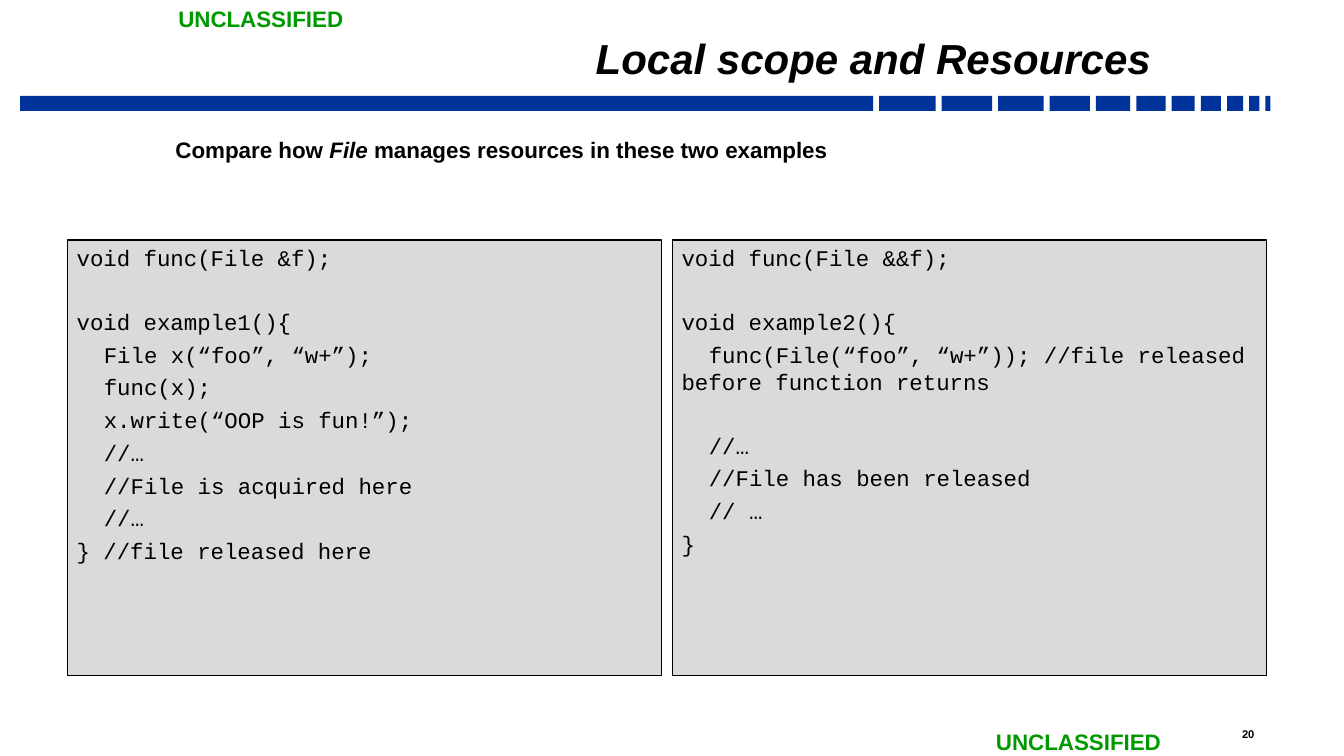
from dataclasses import dataclass

from pptx import Presentation
from pptx.dml.color import RGBColor
from pptx.enum.shapes import MSO_SHAPE
from pptx.enum.text import MSO_ANCHOR, MSO_AUTO_SIZE, PP_ALIGN
from pptx.oxml.xmlchemy import OxmlElement
from pptx.util import Inches, Pt

RECTANGLE = MSO_SHAPE.RECTANGLE
TOP, BOTTOM = MSO_ANCHOR.TOP, MSO_ANCHOR.BOTTOM
LEFT, RIGHT = PP_ALIGN.LEFT, PP_ALIGN.RIGHT
NO_AUTOFIT = MSO_AUTO_SIZE.NONE
COMPARISON_LAYOUT = 4


@dataclass(frozen=True)
class Theme:
    text_font: str = "Arial"
    code_font: str = "Courier New"
    black: RGBColor = RGBColor(0x00, 0x00, 0x00)
    bar_blue: RGBColor = RGBColor(0x00, 0x33, 0x99)
    marking_green: RGBColor = RGBColor(0x00, 0x99, 0x00)
    code_grey: RGBColor = RGBColor(0xDA, 0xDA, 0xDA)
    title_size: float = 30
    text_size: float = 16
    number_size: float = 8
    line_gap: float = 4.2
    section_gap: float = 26.6
    code_indent: float = 0.27


THEME = Theme()


@dataclass(frozen=True)
class Box:
    left: float
    top: float
    width: float
    height: float


@dataclass(frozen=True)
class Label:
    text: str
    box: Box
    size: float
    color: RGBColor
    wrap: bool


@dataclass(frozen=True)
class CodeLine:
    text: str
    level: int = 0
    new_section: bool = False


@dataclass(frozen=True)
class CodePanel:
    placeholder: int
    lines: tuple[CodeLine, ...]


# Content
LABELS = (
    Label("20", Box(12.22, 7.17, 0.72, 0.23), THEME.number_size, THEME.black, True),
    Label("UNCLASSIFIED", Box(1.67, 0, 1.86, 0.37), THEME.text_size, THEME.marking_green, False),
    Label("UNCLASSIFIED", Box(9.78, 7.17, 1.86, 0.37), THEME.text_size, THEME.marking_green, False),
)
LEAD_RUNS = (
    ("Compare how ", False),
    ("File ", True),
    ("manages resources in these two examples", False),
)
PANELS = (
    CodePanel(2, (
        CodeLine("void func(File &f);"),
        CodeLine("void example1(){", new_section=True),
        CodeLine("File x(“foo”, “w+”);", 1),
        CodeLine("func(x);", 1),
        CodeLine("x.write(“OOP is fun!”);", 1),
        CodeLine("//…", 1),
        CodeLine("//File is acquired here", 1),
        CodeLine("//…", 1),
        CodeLine("} //file released here"),
    )),
    CodePanel(4, (
        CodeLine("void func(File &&f);"),
        CodeLine("void example2(){", new_section=True),
        CodeLine("func(File(“foo”, “w+”)); //file released before function returns", 1),
        CodeLine("//…", 1, new_section=True),
        CodeLine("//File has been released", 1),
        CodeLine("// …", 1),
        CodeLine("}"),
    )),
)
UNUSED_PLACEHOLDER = 3

# Geometry
BAR_LEFT, BAR_TOP, BAR_HEIGHT, BAR_GAP = 0.2, 0.95, 0.15, 0.06
BAR_WIDTHS = (8.46, 0.56, 0.5, 0.45, 0.4, 0.34, 0.29, 0.23, 0.2, 0.16, 0.1, 0.05)
FIRST_PANEL = Box(0.67, 2.38, 5.89, 4.32)
PANEL_STEP = 6


def place(shape, box: Box) -> None:
    shape.left, shape.top = Inches(box.left), Inches(box.top)
    shape.width, shape.height = Inches(box.width), Inches(box.height)


def add_text(paragraph, text: str, *, size: float = THEME.text_size,
             font: str = THEME.text_font, color: RGBColor = THEME.black,
             bold: bool = True, italic: bool = False) -> None:
    run = paragraph.add_run()
    run.text = text
    run.font.name, run.font.size = font, Pt(size)
    run.font.bold, run.font.italic = bold, italic
    run.font.color.rgb = color


def format_paragraph(paragraph, *, align=LEFT, before: float = THEME.line_gap,
                     indent: float = 0) -> None:
    paragraph.alignment = align
    paragraph.space_before = Pt(before)
    properties = paragraph._p.get_or_add_pPr()
    properties.set("marL", "0")
    properties.set("indent", str(Inches(indent)))
    properties.append(OxmlElement("a:buNone"))


def prepare_placeholder(shape, box: Box, *, anchor=TOP, bottom: float = 0.04):
    place(shape, box)
    frame = shape.text_frame
    frame.word_wrap, frame.auto_size = True, NO_AUTOFIT
    frame.vertical_anchor = anchor
    frame.margin_left = frame.margin_right = Inches(0.09)
    frame.margin_top, frame.margin_bottom = Inches(0.04), Inches(bottom)
    return frame


def draw_bar(slide) -> None:
    left = BAR_LEFT
    for width in BAR_WIDTHS:
        segment = slide.shapes.add_shape(
            RECTANGLE, Inches(left), Inches(BAR_TOP), Inches(width), Inches(BAR_HEIGHT))
        segment.shadow.inherit = False
        segment.fill.solid()
        segment.fill.fore_color.rgb = THEME.bar_blue
        segment.line.fill.background()
        left += width + BAR_GAP


def draw_label(slide, label: Label) -> None:
    box = label.box
    shape = slide.shapes.add_textbox(
        Inches(box.left), Inches(box.top), Inches(box.width), Inches(box.height))
    shape.text_frame.word_wrap = label.wrap
    add_text(shape.text_frame.paragraphs[0], label.text, size=label.size, color=label.color)


def draw_panel(shape, panel: CodePanel, box: Box) -> None:
    frame = prepare_placeholder(shape, box)
    shape.fill.solid()
    shape.fill.fore_color.rgb = THEME.code_grey
    shape.line.color.rgb = THEME.black
    shape.line.width = Pt(1)
    for position, line in enumerate(panel.lines):
        paragraph = frame.add_paragraph() if position else frame.paragraphs[0]
        before = THEME.section_gap if line.new_section else THEME.line_gap
        format_paragraph(paragraph, before=before, indent=line.level * THEME.code_indent)
        add_text(paragraph, line.text, font=THEME.code_font, bold=False)


def main() -> None:
    presentation = Presentation()
    presentation.slide_width, presentation.slide_height = Inches(13.33), Inches(7.5)
    slide = presentation.slides.add_slide(presentation.slide_layouts[COMPARISON_LAYOUT])
    placeholders = {shape.placeholder_format.idx: shape for shape in slide.placeholders}
    unused = placeholders[UNUSED_PLACEHOLDER].element
    unused.getparent().remove(unused)

    # Bar, page number and markings
    draw_bar(slide)
    for label in LABELS:
        draw_label(slide, label)

    # Title
    frame = prepare_placeholder(slide.shapes.title, Box(0.67, 0.3, 10.84, 0.55), anchor=BOTTOM)
    title = frame.paragraphs[0]
    title.alignment, title.line_spacing = RIGHT, 0.7
    add_text(title, "Local scope and Resources", size=THEME.title_size, italic=True)

    # Lead sentence
    frame = prepare_placeholder(
        placeholders[1], Box(1.65, 1.36, 9.82, 0.7), anchor=BOTTOM, bottom=0.44)
    format_paragraph(frame.paragraphs[0], before=0)
    for text, italic in LEAD_RUNS:
        add_text(frame.paragraphs[0], text, italic=italic)

    # Code panels
    for column, panel in enumerate(PANELS):
        box = Box(FIRST_PANEL.left + column * PANEL_STEP, FIRST_PANEL.top,
                  FIRST_PANEL.width, FIRST_PANEL.height)
        draw_panel(placeholders[panel.placeholder], panel, box)

    presentation.save("out.pptx")


if __name__ == "__main__":
    main()
